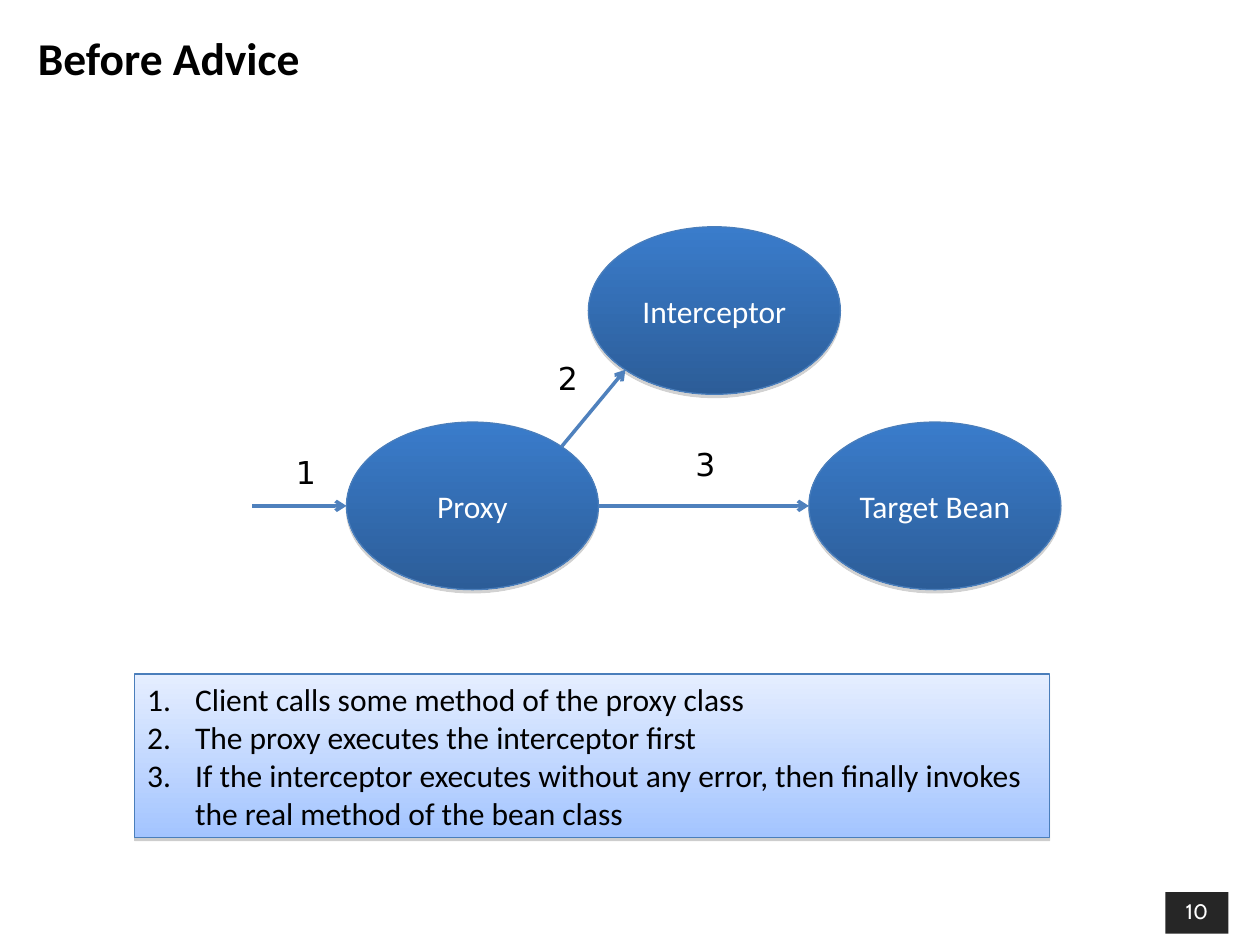
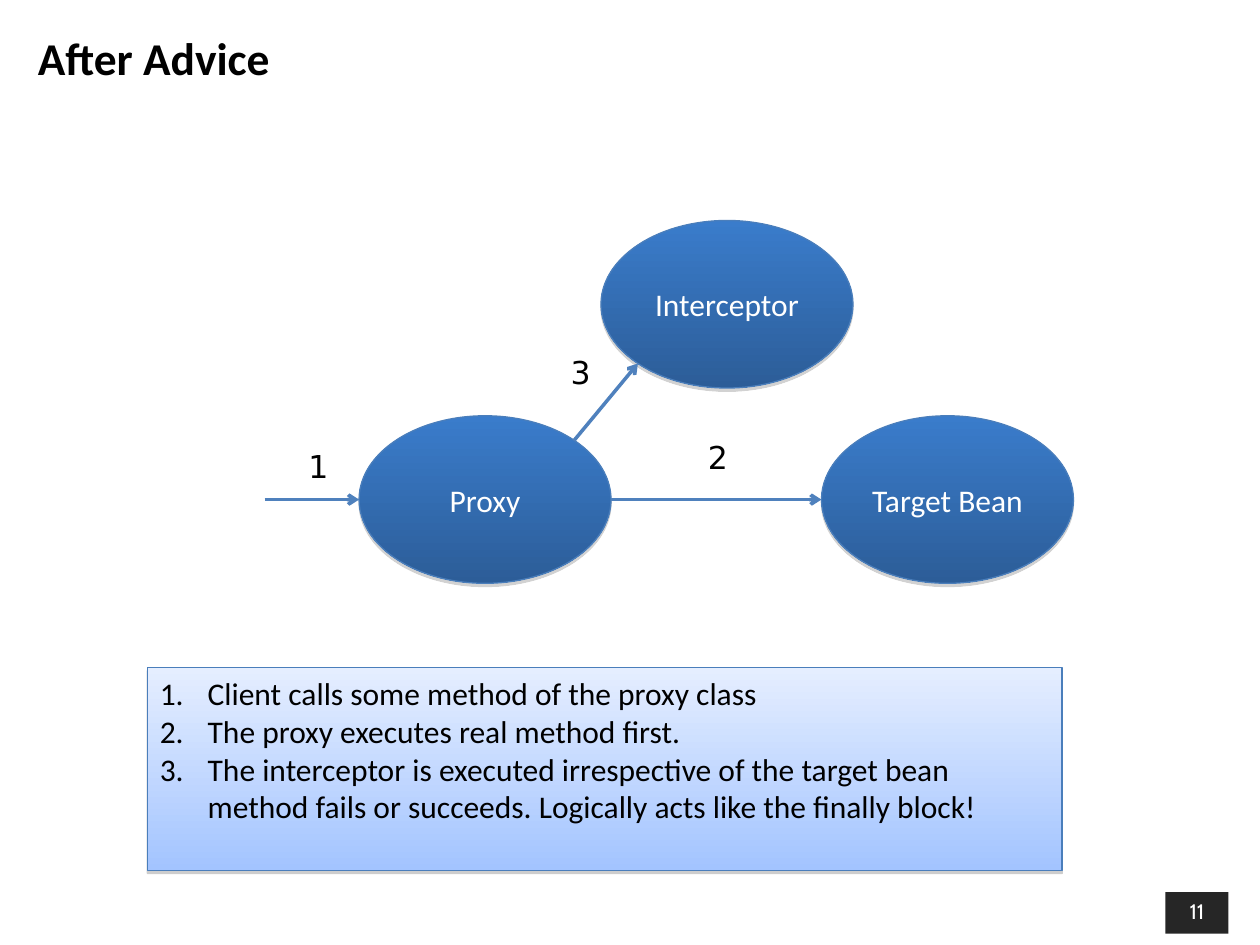
from dataclasses import dataclass
from math import cos, radians, sin

from lxml.etree import SubElement
from pptx import Presentation
from pptx.dml.color import RGBColor
from pptx.enum.shapes import MSO_CONNECTOR as Connector
from pptx.enum.shapes import MSO_SHAPE as Preset
from pptx.enum.text import MSO_ANCHOR as Anchor
from pptx.enum.text import MSO_AUTO_SIZE as AutoSize
from pptx.enum.text import PP_ALIGN as Align
from pptx.oxml.ns import qn
from pptx.util import Inches, Pt

TITLE_ONLY = 5
OVAL_SIZE = (2, 1.33)
LABEL_SIZE = (0.5, 0.4)
STEPS_WIDTH = 7.26
FIRST_NUMBER = 10


@dataclass(frozen=True)
class Theme:
    text_font: str = "Calibri"
    label_font: str = "DejaVu Sans"
    number_font: str = "Cabin"
    title_size: int = 26
    body_size: int = 18
    number_size: int = 12
    dark: str = "000000"
    light: str = "FFFFFF"
    number_fill: str = "262626"
    oval_fill: tuple = ("3A7CCB", "2C5D98")
    steps_fill: tuple = ("E5EEFF", "A3C4FF")
    outline: str = "4A7EBB"
    arrow: str = "4F81BD"
    shadow: str = "808080"


THEME = Theme()


@dataclass(frozen=True)
class Advice:
    """One slide; the diagram hangs from the proxy's top left corner."""
    title: str
    proxy: tuple
    interceptor_call: str
    target_call: str
    steps: tuple
    steps_height: float


ADVICES = (
    Advice("Before Advice", (2.75, 3.35), "2", "3",
           ("Client calls some method of the proxy class",
            "The proxy executes the interceptor first",
            "If the interceptor executes without any error, then finally "
            "invokes the real method of the bean class"), 1.3),
    Advice("After Advice", (2.85, 3.3), "3", "2",
           ("Client calls some method of the proxy class",
            "The proxy executes real method first.",
            "The interceptor is executed irrespective of the target bean "
            "method fails or succeeds. Logically acts like the finally "
            "block!"), 1.61),
)


def rgb(value):
    return RGBColor.from_string(value)


def box(origin, offset, size):
    """Position and size in EMU of a box offset from an origin in inches."""
    left, top = (start + step for start, step in zip(origin, offset))
    return [Inches(length) for length in (left, top, *size)]


def style(paragraph, size, color, font=THEME.text_font, align=Align.LEFT,
          bold=False):
    paragraph.alignment = align
    paragraph.font.size = Pt(size)
    paragraph.font.name = font
    paragraph.font.bold = bold
    paragraph.font.color.rgb = rgb(color)


def add_shadow(shape, opacity, distance):
    shape.shadow.inherit = False
    effects = shape._element.spPr.find(qn("a:effectLst"))
    shadow = SubElement(effects, qn("a:outerShdw"), blurRad="0",
                        dist=str(Pt(distance)), dir="5400000",
                        rotWithShape="0")
    color = SubElement(shadow, qn("a:srgbClr"), val=THEME.shadow)
    SubElement(color, qn("a:alpha"), val=str(opacity * 1000))


def add_gradient_shape(slide, preset, frame, colors):
    shape = slide.shapes.add_shape(preset, *frame)
    shape.fill.gradient()
    shape.fill.gradient_angle = 270
    for stop, color in zip(shape.fill.gradient_stops, colors):
        stop.color.rgb = rgb(color)
    shape.line.color.rgb = rgb(THEME.outline)
    shape.line.width = Pt(0.75)
    shape.text_frame.word_wrap = True
    return shape


def add_oval(slide, origin, offset, name):
    oval = add_gradient_shape(slide, Preset.OVAL,
                              box(origin, offset, OVAL_SIZE), THEME.oval_fill)
    add_shadow(oval, 35, 1.8)
    oval.text_frame.text = name
    oval.text_frame.vertical_anchor = Anchor.MIDDLE
    style(oval.text_frame.paragraphs[0], THEME.body_size, THEME.light,
          align=Align.CENTER)
    return oval


def rim(oval, degrees):
    """Point on the oval's outline, counted anticlockwise from the right."""
    angle = radians(degrees)
    return (int(oval.left + oval.width / 2 * (1 + cos(angle))),
            int(oval.top + oval.height / 2 * (1 - sin(angle))))


def add_arrow(slide, start, end):
    arrow = slide.shapes.add_connector(Connector.STRAIGHT, *start, *end)
    arrow.line.color.rgb = rgb(THEME.arrow)
    arrow.line.width = Pt(2)
    properties = arrow._element.spPr
    SubElement(properties.find(qn("a:ln")), qn("a:tailEnd"), type="arrow")
    SubElement(properties, qn("a:effectLst"))


def add_call_label(slide, origin, offset, text):
    label = slide.shapes.add_textbox(*box(origin, offset, LABEL_SIZE))
    label.text_frame.word_wrap = True
    label.text_frame.text = text
    style(label.text_frame.paragraphs[0], THEME.body_size, THEME.dark,
          THEME.label_font)


def add_numbering(paragraph):
    properties = paragraph._p.get_or_add_pPr()
    indent = Inches(0.38)
    properties.set("marL", str(indent))
    properties.set("indent", str(-indent))
    color = SubElement(properties, qn("a:buClr"))
    SubElement(color, qn("a:srgbClr"), val=THEME.dark)
    SubElement(properties, qn("a:buFont"), typeface=THEME.text_font)
    SubElement(properties, qn("a:buAutoNum"), type="arabicPeriod")


def add_steps(slide, origin, offset, height, steps):
    panel = add_gradient_shape(slide, Preset.RECTANGLE,
                               box(origin, offset, (STEPS_WIDTH, height)),
                               THEME.steps_fill)
    add_shadow(panel, 38, 1.6)
    frame = panel.text_frame
    frame.vertical_anchor = Anchor.TOP
    frame.text = "\n".join(steps)
    for paragraph in frame.paragraphs:
        add_numbering(paragraph)
        style(paragraph, THEME.body_size, THEME.dark)


def set_title(slide, text):
    title = slide.shapes.title
    title.left, title.top, title.width, title.height = box(
        (0, 0), (0.2, 0.15), (9.65, 0.61))
    frame = title.text_frame
    frame.text = text
    frame.auto_size = AutoSize.NONE
    frame.vertical_anchor = Anchor.MIDDLE
    style(frame.paragraphs[0], THEME.title_size, THEME.dark, bold=True)


def add_slide_number(slide, number):
    tag = slide.shapes.add_shape(
        Preset.RECTANGLE, *box((0, 0), (9.25, 7.08), (0.5, 0.33)))
    tag.shadow.inherit = False
    tag.fill.solid()
    tag.fill.fore_color.rgb = rgb(THEME.number_fill)
    tag.line.fill.background()
    tag.text_frame.vertical_anchor = Anchor.TOP
    tag.text_frame.text = str(number)
    style(tag.text_frame.paragraphs[0], THEME.number_size, THEME.light,
          THEME.number_font, Align.CENTER)


def add_call_diagram(slide, advice):
    origin = advice.proxy
    proxy = add_oval(slide, origin, (0, 0), "Proxy")
    interceptor = add_oval(slide, origin, (1.92, -1.55), "Interceptor")
    target = add_oval(slide, origin, (3.67, 0), "Target Bean")

    entry_left, entry_top = rim(proxy, 180)
    add_arrow(slide, (entry_left - Inches(0.75), entry_top),
              (entry_left, entry_top))
    add_arrow(slide, rim(proxy, 45), rim(interceptor, 225))
    add_arrow(slide, rim(proxy, 0), rim(target, 180))

    add_call_label(slide, origin, (-0.5, 0.2), "1")
    add_call_label(slide, origin, (1.58, -0.55), advice.interceptor_call)
    add_call_label(slide, origin, (2.67, 0.13), advice.target_call)


def add_advice_slide(presentation, number, advice):
    slide = presentation.slides.add_slide(
        presentation.slide_layouts[TITLE_ONLY])
    set_title(slide, advice.title)
    add_slide_number(slide, number)
    add_call_diagram(slide, advice)
    add_steps(slide, advice.proxy, (-1.68, 2), advice.steps_height,
              advice.steps)


def main():
    presentation = Presentation()
    presentation.slide_width = Inches(10)
    presentation.slide_height = Inches(7.5)
    for number, advice in enumerate(ADVICES, FIRST_NUMBER):
        add_advice_slide(presentation, number, advice)
    presentation.save("out.pptx")


if __name__ == "__main__":
    main()
